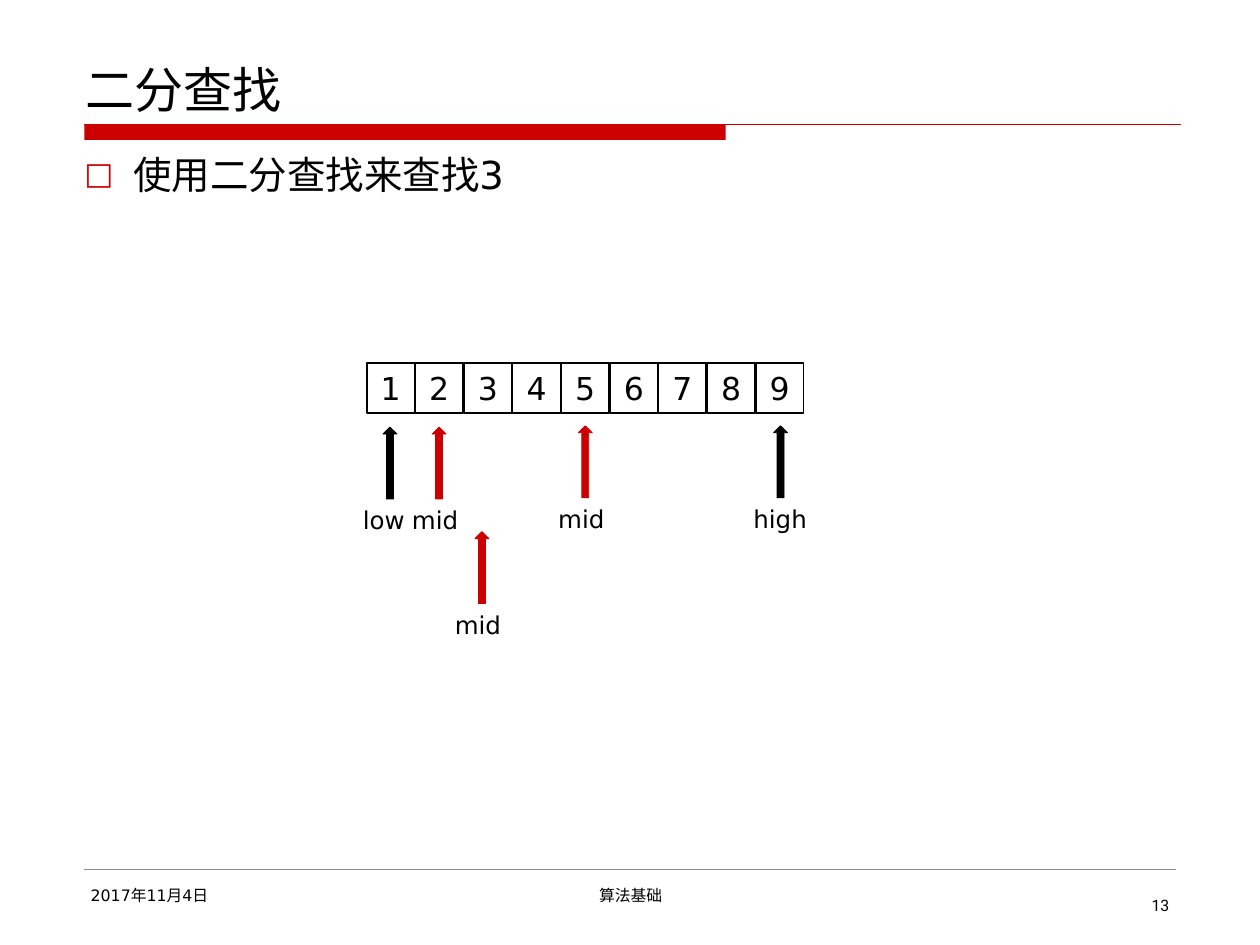
import dataclasses

import lxml.etree
import pptx
import pptx.dml.color
import pptx.enum.shapes
import pptx.enum.text
import pptx.oxml.ns
import pptx.util

Inches = pptx.util.Inches
Align = pptx.enum.text.PP_ALIGN
Anchor = pptx.enum.text.MSO_ANCHOR
Kind = pptx.enum.shapes.MSO_SHAPE


@dataclasses.dataclass(frozen=True)
class Theme:
    """Colours, fonts and type sizes of the slide."""
    red: str = "CC0000"
    black: str = "000000"
    white: str = "FFFFFF"
    grey: str = "909090"
    latin: str = "DejaVu Sans"
    han: str = "Noto Sans CJK SC"
    digit: str = "Roboto"
    title: int = 28
    body: int = 22
    cell: int = 18
    label: int = 14
    foot: int = 9


THEME = Theme()


def rgb(code):
    """Turn a hex code into a colour."""
    return pptx.dml.color.RGBColor.from_string(code)


def add_node(parent, tag, **attrs):
    """Append a drawing element with its attributes."""
    return lxml.etree.SubElement(parent, pptx.oxml.ns.qn(tag), attrs)


def write(shape, text, size, align=Align.LEFT, anchor=Anchor.TOP, wrap=True, face=THEME.latin):
    """Put one formatted paragraph into a shape."""
    frame = shape.text_frame
    frame.auto_size = pptx.enum.text.MSO_AUTO_SIZE.NONE
    frame.word_wrap = wrap
    frame.vertical_anchor = anchor
    frame.margin_left = frame.margin_right = Inches(0.05)
    frame.margin_top = frame.margin_bottom = Inches(0.05)
    para = frame.paragraphs[0]
    para.text = text
    para.alignment = align
    font = para.font
    font.size = pptx.util.Pt(size)
    font.name = face
    font.color.rgb = rgb(THEME.black)
    add_node(para._p.pPr.find(pptx.oxml.ns.qn("a:defRPr")), "a:ea", typeface=THEME.han)
    return para


def add_text(slide, box, text, size, **style):
    """Add a text box."""
    shape = slide.shapes.add_textbox(*map(Inches, box))
    return write(shape, text, size, **style)


def add_block(slide, kind, box, fill, edge=None, width=1):
    """Add a filled preset shape without a shadow."""
    shape = slide.shapes.add_shape(kind, *map(Inches, box))
    shape.shadow.inherit = False
    shape.fill.solid()
    shape.fill.fore_color.rgb = rgb(fill)
    if edge:
        shape.line.color.rgb = rgb(edge)
        shape.line.width = pptx.util.Pt(width)
    else:
        shape.line.fill.background()
    return shape


def add_rule(slide, left, right, top, color, width):
    """Add a level line without a shadow."""
    ends = map(Inches, (left, top, right, top))
    line = slide.shapes.add_connector(pptx.enum.shapes.MSO_CONNECTOR.STRAIGHT, *ends)
    line.line.color.rgb = rgb(color)
    line.line.width = pptx.util.Pt(width)
    add_node(line._element.spPr, "a:effectLst")


def add_title(slide, text):
    """Place and fill the title."""
    title = slide.shapes.title
    title.left, title.top, title.width, title.height = map(Inches, (0.63, 0.33, 8.75, 0.66))
    write(title, text, THEME.title, anchor=Anchor.BOTTOM)


def add_bullet(slide, text):
    """Add the body line with its hollow square bullet."""
    para = add_text(slide, (0.62, 1.15, 8.75, 5.43), text, THEME.body)
    para.space_before = pptx.util.Pt(5)
    props = para._p.pPr
    props.set("marL", str(Inches(0.39)))
    props.set("indent", str(Inches(-0.39)))
    font = props.find(pptx.oxml.ns.qn("a:defRPr"))
    add_node(add_node(props, "a:buClr"), "a:srgbClr", val=THEME.red)
    add_node(props, "a:buSzPct", val="80000")
    add_node(props, "a:buFont", typeface=THEME.latin)
    add_node(props, "a:buChar", char="□")
    props.append(font)


def add_array(slide, count, left, top, pitch):
    """Add a row of numbered cells."""
    for index in range(count):
        box = (left + index * pitch, top, 0.38, 0.4)
        cell = add_block(slide, Kind.RECTANGLE, box, THEME.white, THEME.black)
        write(cell, str(index + 1), THEME.cell, align=Align.CENTER, anchor=Anchor.MIDDLE)


def add_mark(slide, text, left, top, color):
    """Add an upward arrow with its label below."""
    add_block(slide, Kind.UP_ARROW, (left, top, 0.11, 0.57), color, color, 0.5)
    add_text(slide, (left - 0.21, top + 0.57, 0.63, 0.34), text, THEME.label)


def add_foot(slide):
    """Add the footer line, date, course and page number."""
    add_rule(slide, 0.67, 9.33, 6.9, THEME.grey, 0.25)
    add_text(slide, (3.42, 6.98, 3.17, 0.28), "算法基础", THEME.foot, align=Align.CENTER)
    add_text(slide, (0.67, 6.98, 2.17, 0.28), "2017年11月4日", THEME.foot)
    add_text(slide, (9.06, 7.06, 0.27, 0.25), "13", THEME.foot,
             align=Align.RIGHT, wrap=False, face=THEME.digit)


def main():
    """Build and save the slide."""
    deck = pptx.Presentation()
    deck.slide_width, deck.slide_height = Inches(10), Inches(7.5)
    slide = deck.slides.add_slide(deck.slide_layouts[5])
    add_block(slide, Kind.RECTANGLE, (0.67, 0.99, 5.09, 0.12), THEME.red)
    add_rule(slide, 0.67, 9.37, 0.99, THEME.red, 0.75)
    add_title(slide, "二分查找")
    add_bullet(slide, "使用二分查找来查找3")
    add_array(slide, 9, 2.91, 2.88, 0.386)
    marks = (
        ("low", 3.04, 3.39, THEME.black),
        ("high", 6.14, 3.38, THEME.black),
        ("mid", 4.59, 3.38, THEME.red),
        ("mid", 3.43, 3.39, THEME.red),
        ("mid", 3.77, 4.22, THEME.red),
    )
    for mark in marks:
        add_mark(slide, *mark)
    add_foot(slide)
    deck.save("out.pptx")


if __name__ == "__main__":
    main()
